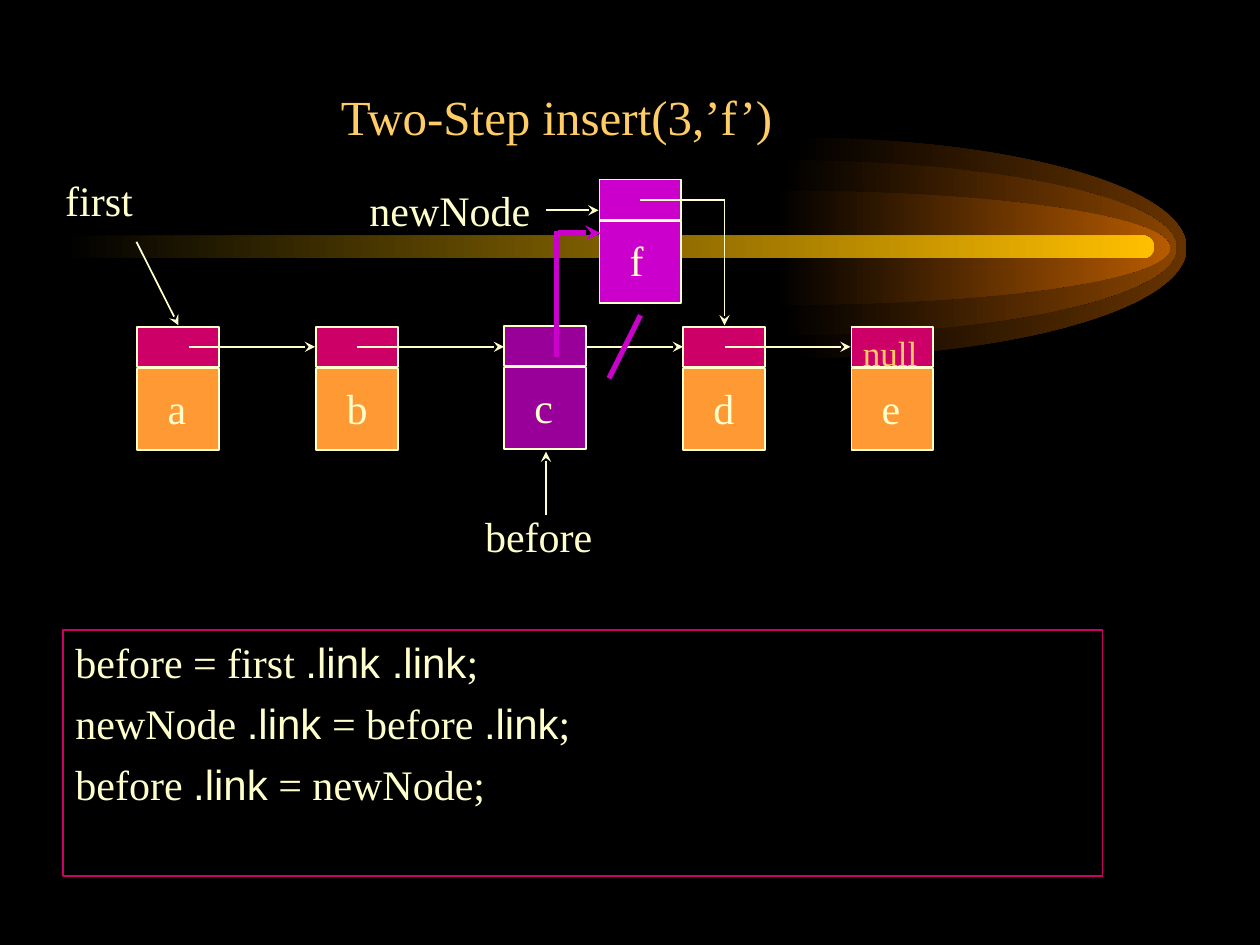
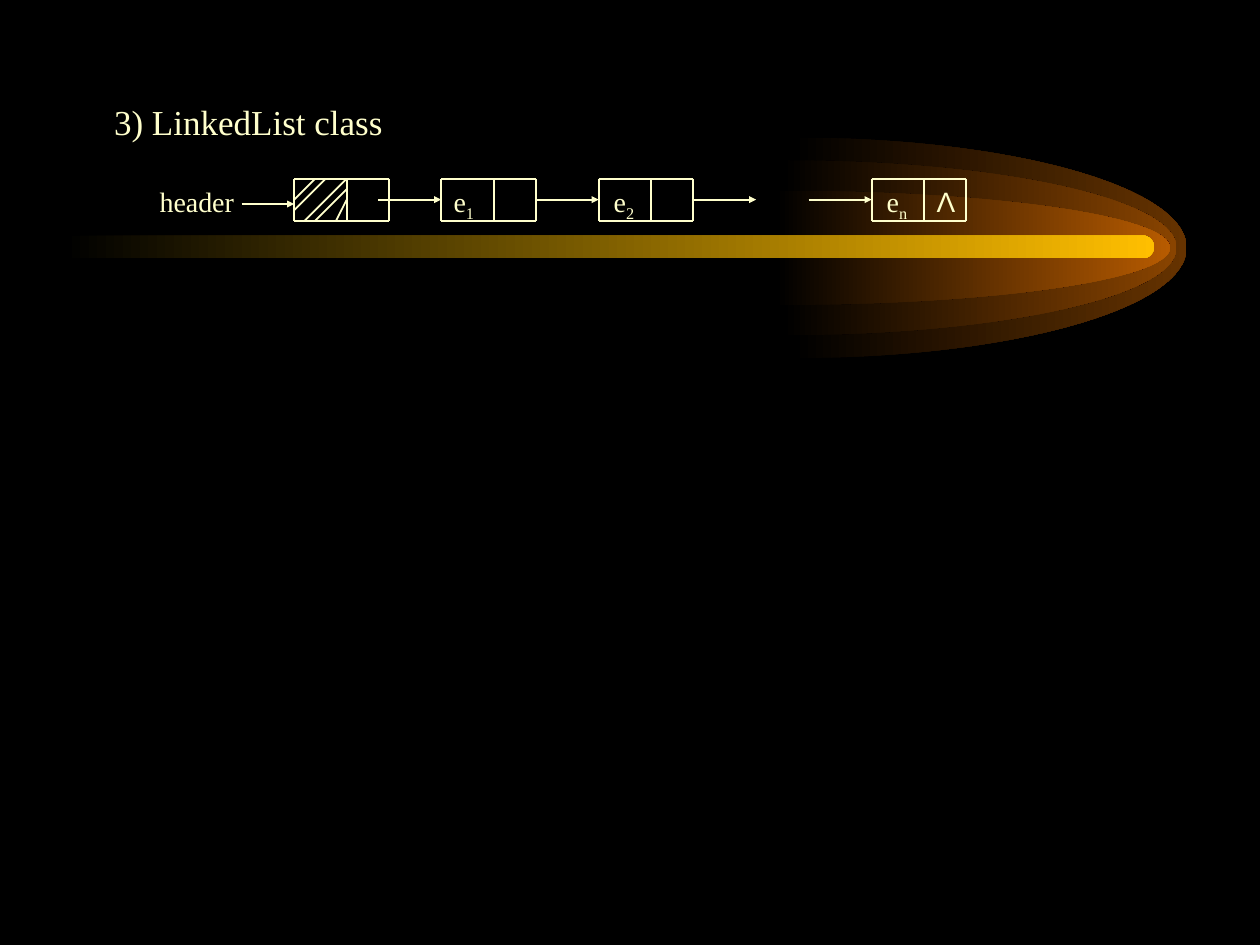
from itertools import cycle
from pptx import Presentation
from pptx.dml.color import RGBColor
from pptx.enum import shapes, text
from pptx.oxml.ns import qn
from pptx.util import Pt
from lxml import etree

CREAM, GOLD, ORANGE, PINK = "FFFFCC", "FFCC66", "FF9933", "CC0066"
MAGENTA, PURPLE, BLACK = "CC00CC", "990099", "000000"
SERIF, SANS = "Times New Roman", "Arial"
THIN, THICK = 0.99, 3
NODE_W, HEAD_H, BODY_H = 46.8, 23, 46.8
CELL_W, CELL_MID, CELL_H = 54, 30, 24
ARC = 0.5523  # control point ratio of a quarter ellipse


def rgb(color):
    return RGBColor.from_string(color)


# ---- Basic parts ----
def write(p, words, size, color=CREAM, font=SERIF, sub=False):
    r = p.add_run()
    r.text = words
    r.font.size, r.font.name = Pt(size), font
    r.font.color.rgb = rgb(color)
    if sub:
        r._r.get_or_add_rPr().set("baseline", "-25000")


def text_box(s, x, y, w, h):
    tf = s.shapes.add_textbox(Pt(x), Pt(y), Pt(w), Pt(h)).text_frame
    tf.word_wrap = True
    return tf


def label(s, x, y, w, h, words, size=24, color=CREAM, font=SERIF):
    p = text_box(s, x, y, w, h).paragraphs[0]
    write(p, words, size, color, font)
    return p


def rect(s, x, y, w, h, fill=None, line=CREAM):
    sp = s.shapes.add_shape(shapes.MSO_SHAPE.RECTANGLE, Pt(x), Pt(y), Pt(w), Pt(h))
    sp.shadow.inherit = False
    if fill:
        sp.fill.solid()
        sp.fill.fore_color.rgb = rgb(fill)
    else:
        sp.fill.background()
    sp.line.color.rgb = rgb(line)
    sp.line.width = Pt(THIN)
    return sp


def line(s, x1, y1, x2, y2, head=None, color=CREAM, width=THIN):
    c = s.shapes.add_connector(shapes.MSO_CONNECTOR.STRAIGHT,
                               Pt(x1), Pt(y1), Pt(x2), Pt(y2))
    c.line.color.rgb = rgb(color)
    c.line.width = Pt(width)
    if head:
        tail = etree.SubElement(c.line._get_or_add_ln(), qn("a:tailEnd"), type=head)
        if head == "triangle":
            tail.set("w", "sm")
            tail.set("len", "sm")
    etree.SubElement(c._element.spPr, qn("a:effectLst"))


# ---- Shared comet background ----
def fade(sp, color):
    sp.shadow.inherit = False
    sp.line.fill.background()
    sp.fill.gradient()
    sp.fill.gradient_angle = 0
    for stop, c, pos in zip(sp.fill.gradient_stops, (BLACK, color), (0, 1)):
        stop.color.rgb = rgb(c)
        stop.position = pos


def half_ellipse(s, x, cy, rx, ry, color):
    ratios = ((0, -1), (ARC, -1), (1, -ARC), (1, 0), (1, ARC), (ARC, 1), (0, 1))
    pts = [(Pt(x + rx * i), Pt(cy + ry * j)) for i, j in ratios]
    fb = s.shapes.build_freeform(*pts[0])
    fb.add_line_segments(pts[1:], close=True)
    sp = fb.convert_to_shape()
    # Turn each three segments into one curve
    segments = list(sp._element.iter(qn("a:lnTo")))
    for i in (0, 3):
        curve = etree.Element(qn("a:cubicBezTo"))
        segments[i].addprevious(curve)
        for seg in segments[i:i + 3]:
            curve.append(seg[0])
            seg.getparent().remove(seg)
    fade(sp, color)


def comet_slide(prs):
    s = prs.slides.add_slide(prs.slide_layouts[6])
    s.background.fill.solid()
    s.background.fill.fore_color.rgb = rgb(BLACK)
    for x, ry, color in ((452.8, 63, "663300"), (447.1, 50, "894400"),
                         (443.4, 32.7, "B75B00")):
        half_ellipse(s, x, 141.6, 225.2, ry, color)
    beam = s.shapes.add_shape(shapes.MSO_SHAPE.ROUNDED_RECTANGLE,
                              Pt(36), Pt(134.6), Pt(623.5), Pt(13))
    beam.adjustments[0] = 0.5
    fade(beam, "FFBF00")
    return s


# ---- Slide 1: inserting a node ----
def node(s, x, y, letter, head=PINK, body=ORANGE):
    rect(s, x, y + HEAD_H + 0.8, NODE_W, BODY_H, body)
    rect(s, x, y, NODE_W, HEAD_H, head)
    label(s, x + 10.2, y + 28.1, 27, 36, letter)


def insert_diagram(s, x, y):
    """Nodes in a row, with the row's top left corner at x, y."""
    mid, arrow = y + 11.5, "stealth"
    for letter, dx in (("a", 0), ("b", 102.2), ("d", 311.8), ("e", 408)):
        node(s, x + dx, y, letter)
    # Links of the row
    for start, end in ((29.5, 101.5), (239.8, 311.8), (125.3, 209.5), (335.5, 407.5)):
        line(s, x + start, mid, x + end, mid, arrow)
    label(s, x + 407.5, y - 0.7, 48.2, 31, "null", 20, GOLD)
    # Pointer to the first node
    label(s, x - 48.3, y - 90.6, 132, 36, "first")
    line(s, x - 0.5, y - 48.5, x + 23.5, y - 0.8, arrow)
    # New node and its link
    node(s, x + 264, y - 84.1, "f", MAGENTA, MAGENTA)
    line(s, x + 287.5, y - 72.5, x + 335.5, y - 72.5)
    line(s, x + 335.5, y - 72.5, x + 335.5, y - 0.8, arrow)
    label(s, x + 125.5, y - 84.5, 120, 36, "newNode")
    line(s, x + 233.5, y - 66.5, x + 263.5, y - 66.5, arrow)
    # Stroke that cuts the old link
    line(s, x + 287.5, y - 6.5, x + 269.5, y + 29.5, None, MAGENTA, THICK)
    # Node before the gap, with its new link
    label(s, x + 191.6, y + 101.3, 144, 36, "before")
    line(s, x + 233.5, y + 107.5, x + 233.5, y + 71.4, arrow)
    node(s, x + 209.6, y - 0.5, "c", PURPLE, PURPLE)
    line(s, x + 239.7, y + 17.3, x + 239.7, y - 54.7, None, MAGENTA, THICK)
    line(s, x + 240.5, y - 53.5, x + 264.7, y - 53.5, arrow, MAGENTA, THICK)


def code_box(s, x, y, w, h, rows):
    tf = rect(s, x, y, w, h, line=PINK).text_frame
    tf.word_wrap = True
    tf.vertical_anchor = text.MSO_ANCHOR.TOP
    for i, row in enumerate(rows):
        p = tf.add_paragraph() if i else tf.paragraphs[0]
        p.alignment = text.PP_ALIGN.LEFT
        p.space_before = Pt(6)
        for words, font in zip(row, cycle((SERIF, SANS))):
            write(p, words, 24, font=font)


def insert_slide(prs):
    s = comet_slide(prs)
    tf = text_box(s, 24, 36, 588, 60)
    tf.vertical_anchor = text.MSO_ANCHOR.MIDDLE
    tf.paragraphs[0].alignment = text.PP_ALIGN.CENTER
    write(tf.paragraphs[0], "Two-Step insert(3,’f’)", 28, GOLD)
    code_box(s, 36, 360, 594, 140.5, (
        ("before = first ", ".link .link", ";"),
        ("newNode ", ".link", " = before ", ".link", ";"),
        ("before ", ".link", " = newNode;")))
    insert_diagram(s, 78.5, 186.7)


# ---- Slide 2: linked list with a header ----
def cell(s, x, y, index=None):
    for dy in (0, CELL_H):
        line(s, x, y + dy, x + CELL_W, y + dy)
    for dx in (0, CELL_MID, CELL_W):
        line(s, x + dx, y, x + dx, y + CELL_H)
    if index:
        p = label(s, x + (0 if index == "1" else 1.5), y, 52.5, 29.5, "e", 16)
        write(p, index, 16, sub=True)


def list_diagram(s, x, y):
    """Header cell at x, y, followed by the element cells."""
    for dx, index in ((0, None), (84, "1"), (174, "2"), (330, "n")):
        cell(s, x + dx, y, index)
    for dx in (48, 138, 228, 294):
        line(s, x + dx, y + 12, x + dx + 36, y + 12, "triangle")
    label(s, x - 84, y, 60, 26.5, "header", 16)
    line(s, x - 30, y + 14.5, x, y + 14.5, "triangle")
    # Hatching of the header cell
    for x1, y1, x2, y2 in ((12, 0, 0, 12), (18, 0, 0, 18), (30, 0, 6, 24),
                           (30, 6, 12, 24), (30, 12, 24, 24)):
        line(s, x + x1, y + y1, x + x2, y + y2)
    label(s, x + 360, y, 24, 26.5, "Λ", 16, font=SANS)


def list_slide(prs):
    s = comet_slide(prs)
    tf = text_box(s, 48, 54, 612, 456)
    tf.margin_left = Pt(17.2)
    write(tf.paragraphs[0], "3) LinkedList class", 20)
    list_diagram(s, 168.1, 102.1)


prs = Presentation()
prs.slide_width, prs.slide_height = Pt(720), Pt(540)
insert_slide(prs)
list_slide(prs)
prs.save("out.pptx")
